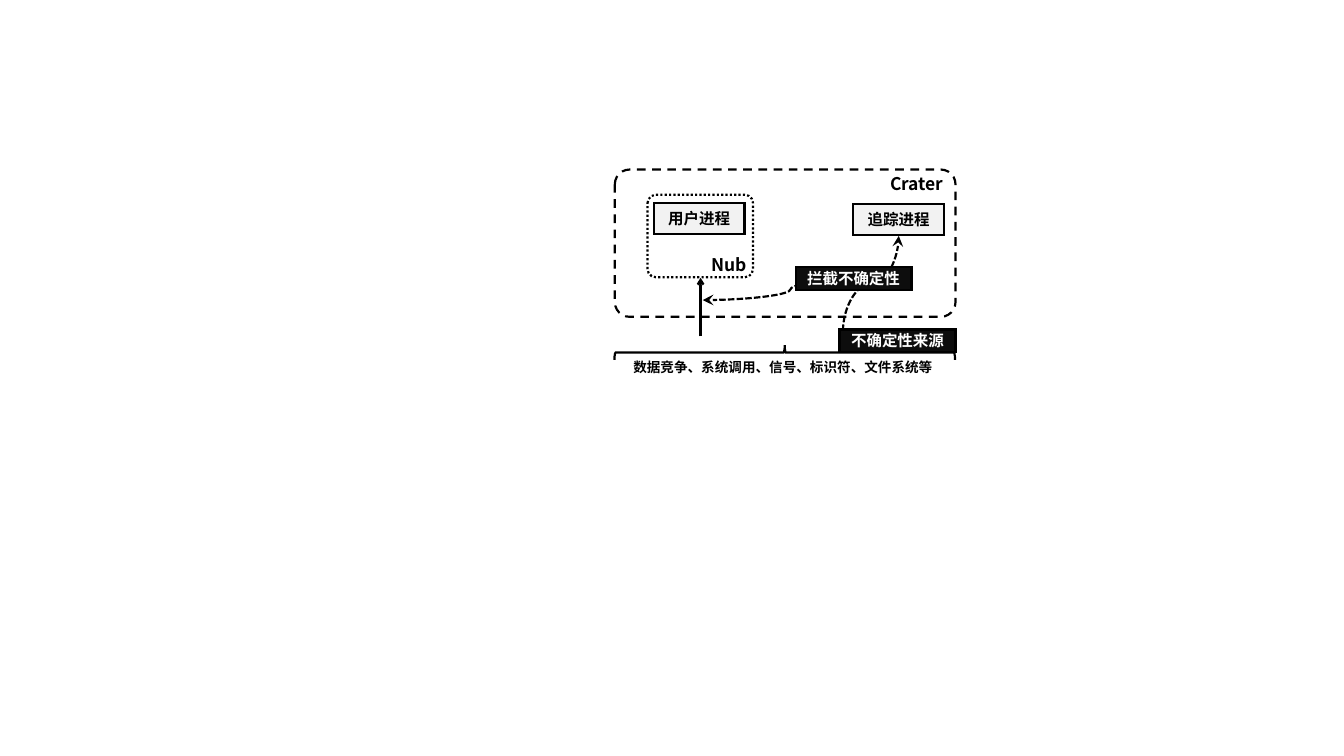
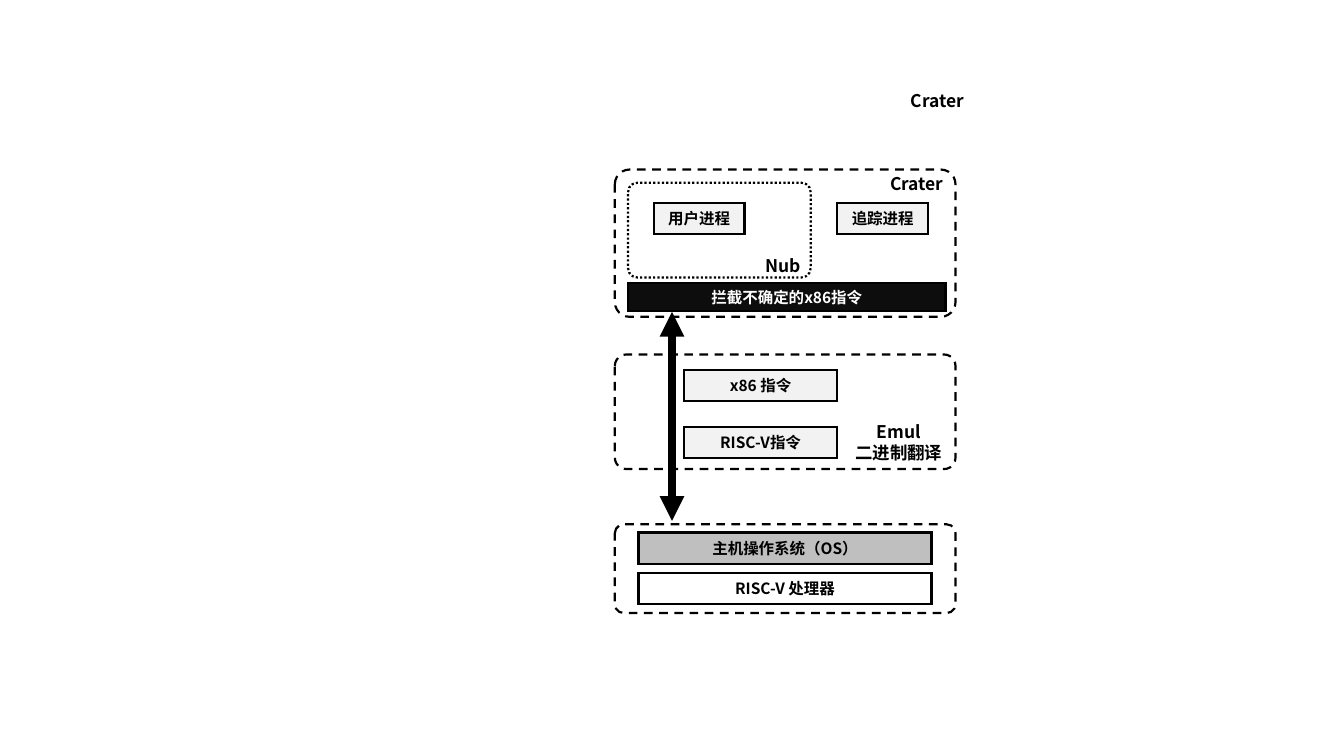
from pptx import Presentation
from pptx.dml.color import RGBColor
from pptx.enum.dml import MSO_LINE
from pptx.enum.shapes import MSO_CONNECTOR, MSO_SHAPE
from pptx.enum.text import MSO_ANCHOR, MSO_AUTO_SIZE, PP_ALIGN
from pptx.oxml.ns import qn
from pptx.util import Cm, Pt
from lxml.etree import SubElement

FONT = "Noto Sans CJK SC"
COLORS = {"ink": "000000", "paper": "FFFFFF", "process": "F2F2F2",
          "system": "BFBFBF", "intercept": "0D0D0D"}
# style: preset shape, fill, dash, text colour
STYLES = {
    "frame": (MSO_SHAPE.ROUNDED_RECTANGLE, "paper", MSO_LINE.DASH, "ink"),
    "sandbox": (MSO_SHAPE.ROUNDED_RECTANGLE, "paper", MSO_LINE.ROUND_DOT, "ink"),
    "process": (MSO_SHAPE.RECTANGLE, "process", None, "ink"),
    "system": (MSO_SHAPE.RECTANGLE, "system", None, "ink"),
    "hardware": (MSO_SHAPE.RECTANGLE, None, None, "ink"),
    "intercept": (MSO_SHAPE.RECTANGLE, "intercept", None, "paper"),
    "brace": (MSO_SHAPE.RIGHT_BRACE, None, None, "ink"),
}
LEFT, WIDTH = 22.38, 12.4          # shared by all frames
LINE = 2.25
PROCESS = (3.3, 1.14)
TAG = (4.22, 0.81)
LABEL = (2.79, 1.02)
LAYER = (10.67, 1.14)
INSTRUCTION = (5.59, 1.14)


def add_block(page, style, left, top, width, height, text="", size=16):
    """Add a styled shape, or a plain text box when the style is 'label'."""
    place = [Cm(length) for length in (left, top, width, height)]
    color = "ink"
    if style == "label":
        box = page.shapes.add_textbox(*place)
        frame_format = {"word_wrap": True, "auto_size": MSO_AUTO_SIZE.SHAPE_TO_FIT_TEXT}
    else:
        preset, fill, dash, color = STYLES[style]
        box = page.shapes.add_shape(preset, *place)
        box.shadow.inherit = False
        if preset == MSO_SHAPE.ROUNDED_RECTANGLE:
            box.adjustments[0] = 0.1
        if fill:
            box.fill.solid()
            box.fill.fore_color.rgb = RGBColor.from_string(COLORS[fill])
        else:
            box.fill.background()
        box.line.color.rgb = RGBColor.from_string(COLORS["ink"])
        box.line.width = Pt(LINE)
        if dash:
            box.line.dash_style = dash
        SubElement(box.line._get_or_add_ln(), qn("a:miter"), lim="800000")
        frame_format = {"word_wrap": True, "vertical_anchor": MSO_ANCHOR.MIDDLE}
    for name, value in frame_format.items():
        setattr(box.text_frame, name, value)
    for number, words in enumerate(text.split("\n") if text else []):
        para = box.text_frame.add_paragraph() if number else box.text_frame.paragraphs[0]
        para.alignment = PP_ALIGN.CENTER
        span = para.add_run()
        span.text = words
        for name, value in {"name": FONT, "size": Pt(size), "bold": True}.items():
            setattr(span.font, name, value)
        span.font.color.rgb = RGBColor.from_string(COLORS[color])
        SubElement(span.font._element, qn("a:ea"), typeface=FONT)
    return box


def add_arrow(page, kind, start, end, heads, width=LINE, dash=None, head_size="med"):
    """Add a connector; heads maps line ends to arrowhead types."""
    arrow = page.shapes.add_connector(kind, *[Cm(length) for length in start + end])
    arrow.line.color.rgb = RGBColor.from_string(COLORS["ink"])
    arrow.line.width = Pt(width)
    if dash:
        arrow.line.dash_style = dash
    for tag, head in heads.items():
        SubElement(arrow.line._get_or_add_ln(), qn(tag), type=head,
                   w=head_size, len=head_size)
    SubElement(arrow._element.spPr, qn("a:effectLst"))
    return arrow


deck = Presentation()
deck.slide_width, deck.slide_height = Cm(48.92), Cm(27.51)
tracing, translation = [deck.slides.add_slide(deck.slide_layouts[6]) for _ in range(2)]

# Slide 1: the tracer intercepts sources of nondeterminism
for block in [
    ("frame", LEFT, 6.17, WIDTH, 5.36),
    ("sandbox", 23.57, 7.09, 3.84, 3),
    ("process", 23.8, 7.39, *PROCESS, "用户进程"),
    ("process", 31.06, 7.42, *PROCESS, "追踪进程"),
]:
    add_block(tracing, *block)

add_arrow(tracing, MSO_CONNECTOR.STRAIGHT, (25.5, 12.24), (25.5, 10.11),
          {"a:tailEnd": "arrow"})
dashed = {"heads": {"a:tailEnd": "stealth"}, "dash": MSO_LINE.SQUARE_DOT,
          "head_size": "lg"}
to_tracer = add_arrow(tracing, MSO_CONNECTOR.CURVE, (33.43, 11.33), (29.97, 9.3), **dashed)
to_tracer._element.spPr.find(qn("a:xfrm")).set("rot", str(90 * 60000))
add_block(tracing, "label", 25.15, 9.12, *LABEL, "Nub", 18)
add_block(tracing, "label", 31.98, 6.17, *LABEL, "Crater", 18)
add_arrow(tracing, MSO_CONNECTOR.CURVE, (31.98, 10.13), (25.58, 10.92), **dashed)
add_block(tracing, "intercept", 28.96, 9.73, *TAG, "拦截不确定性")
brace = add_block(tracing, "brace", 28.3, 6.63, 0.53, WIDTH)
brace.rotation = 270
add_block(tracing, "label", LEFT, 12.95, 12.24, 0.86,
          "数据竞争、系统调用、信号、标识符、文件系统等", 14)
add_block(tracing, "intercept", 30.56, 11.99, *TAG, "不确定性来源")

# Slide 2: the layers from container to processor
for block in [
    ("frame", LEFT, 19.08, WIDTH, 3.23),
    ("frame", LEFT, 6.17, WIDTH, 5.36),
    ("sandbox", 22.86, 6.65, 6.65, 3.45),
    ("process", 23.8, 7.39, *PROCESS, "用户进程"),
    ("process", 30.48, 7.39, *PROCESS, "追踪进程"),
    ("label", 27.1, 9.14, *LABEL, "Nub", 18),
    ("label", 31.98, 6.17, *LABEL, "Crater", 18),
    ("label", 32.72, 3.15, *LABEL, "Crater", 18),
    ("frame", LEFT, 12.9, WIDTH, 4.17),
    ("hardware", 23.24, 20.85, *LAYER, "RISC-V 处理器"),
    ("system", 23.24, 19.38, *LAYER, "主机操作系统（OS）"),
]:
    add_block(translation, *block)

add_arrow(translation, MSO_CONNECTOR.STRAIGHT, (24.46, 18.95), (24.46, 11.35),
          {"a:headEnd": "triangle", "a:tailEnd": "triangle"}, width=8.5)
for block in [
    ("label", 29.69, 15.21, 6.05, 1.8, "Emul\n二进制翻译", 18),
    ("process", 24.89, 15.54, *INSTRUCTION, "RISC-V指令"),
    ("process", 24.89, 13.46, *INSTRUCTION, "x86 指令"),
    ("intercept", 22.86, 10.31, 11.56, 1.02, "拦截不确定的x86指令"),
]:
    add_block(translation, *block)

deck.save("out.pptx")
